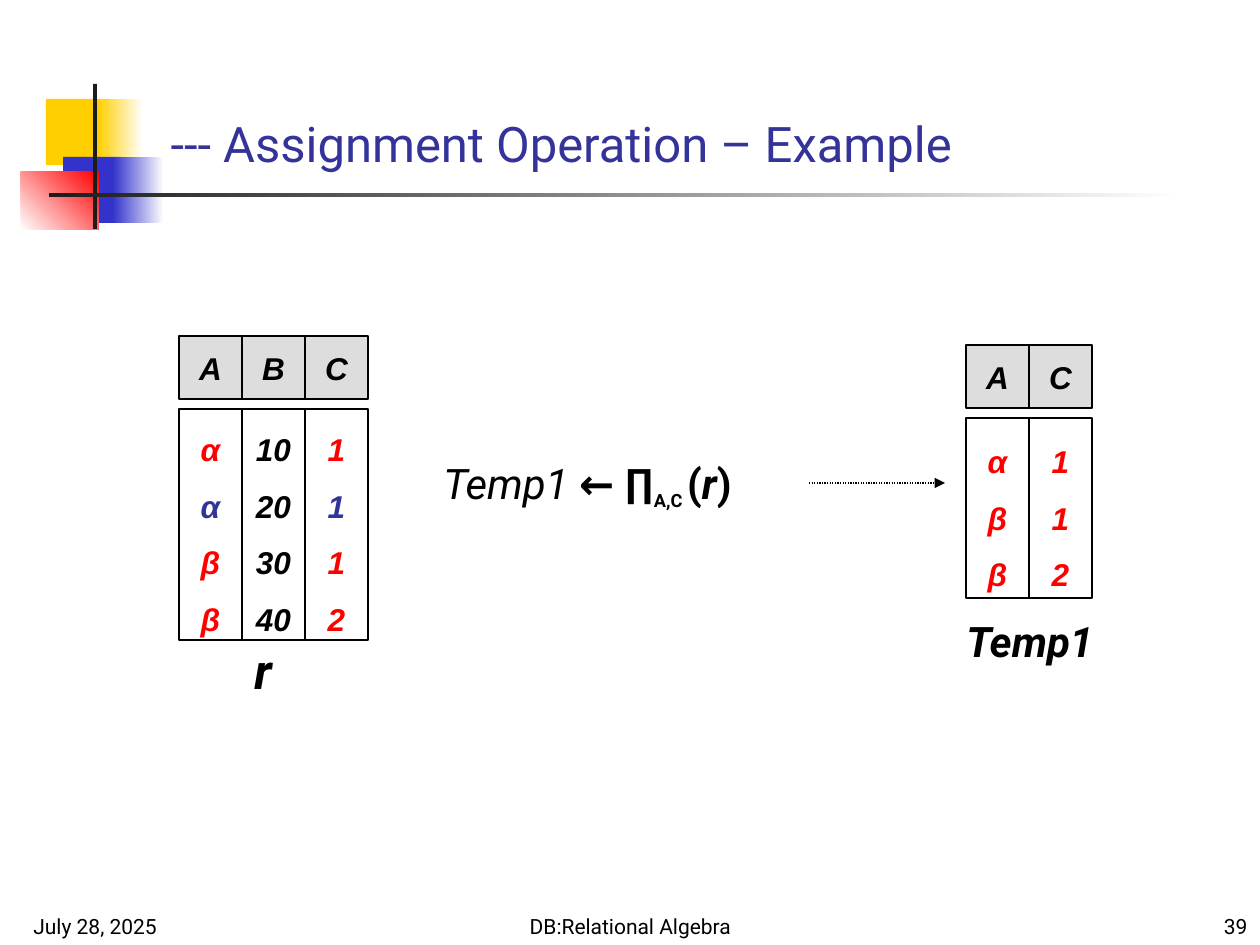
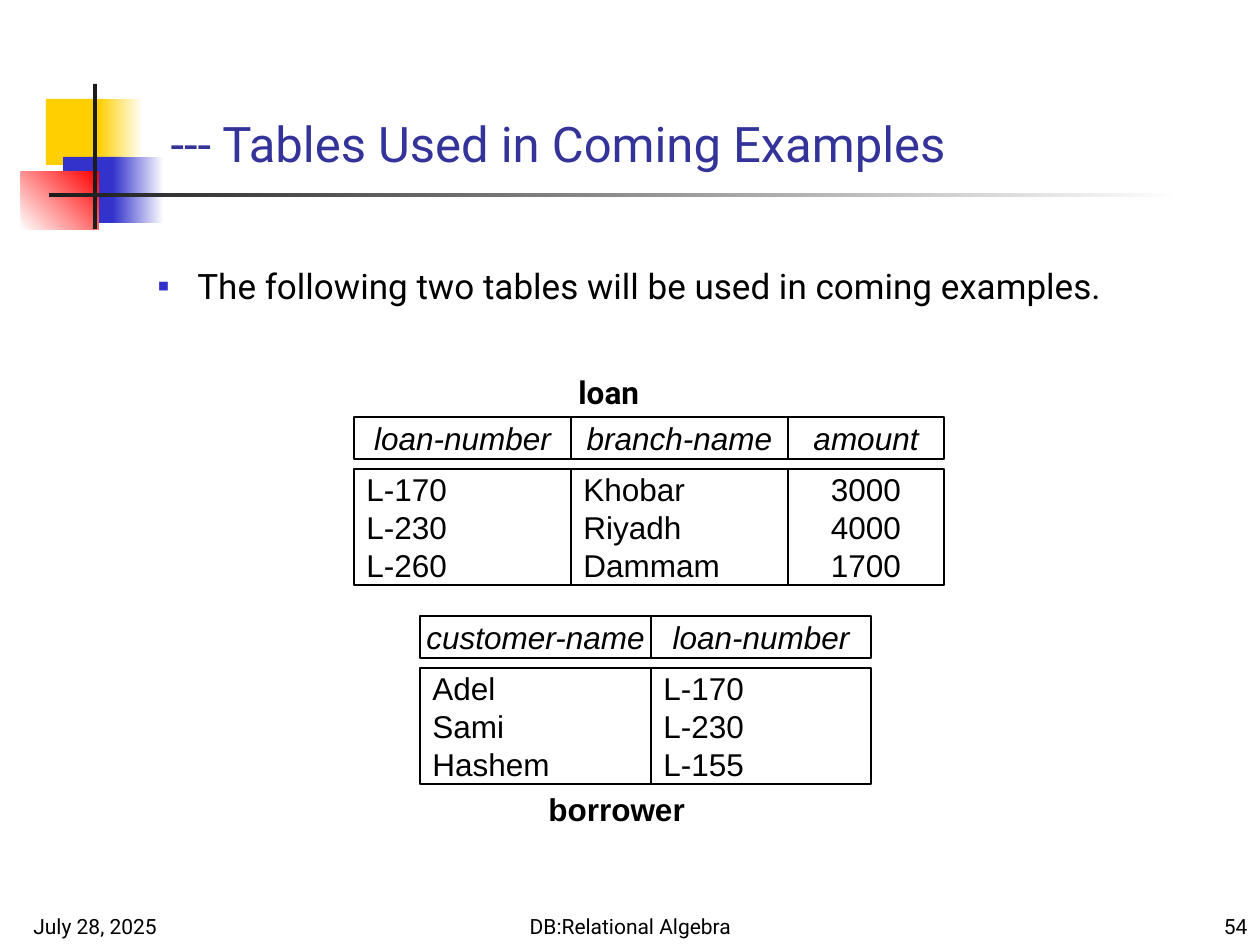
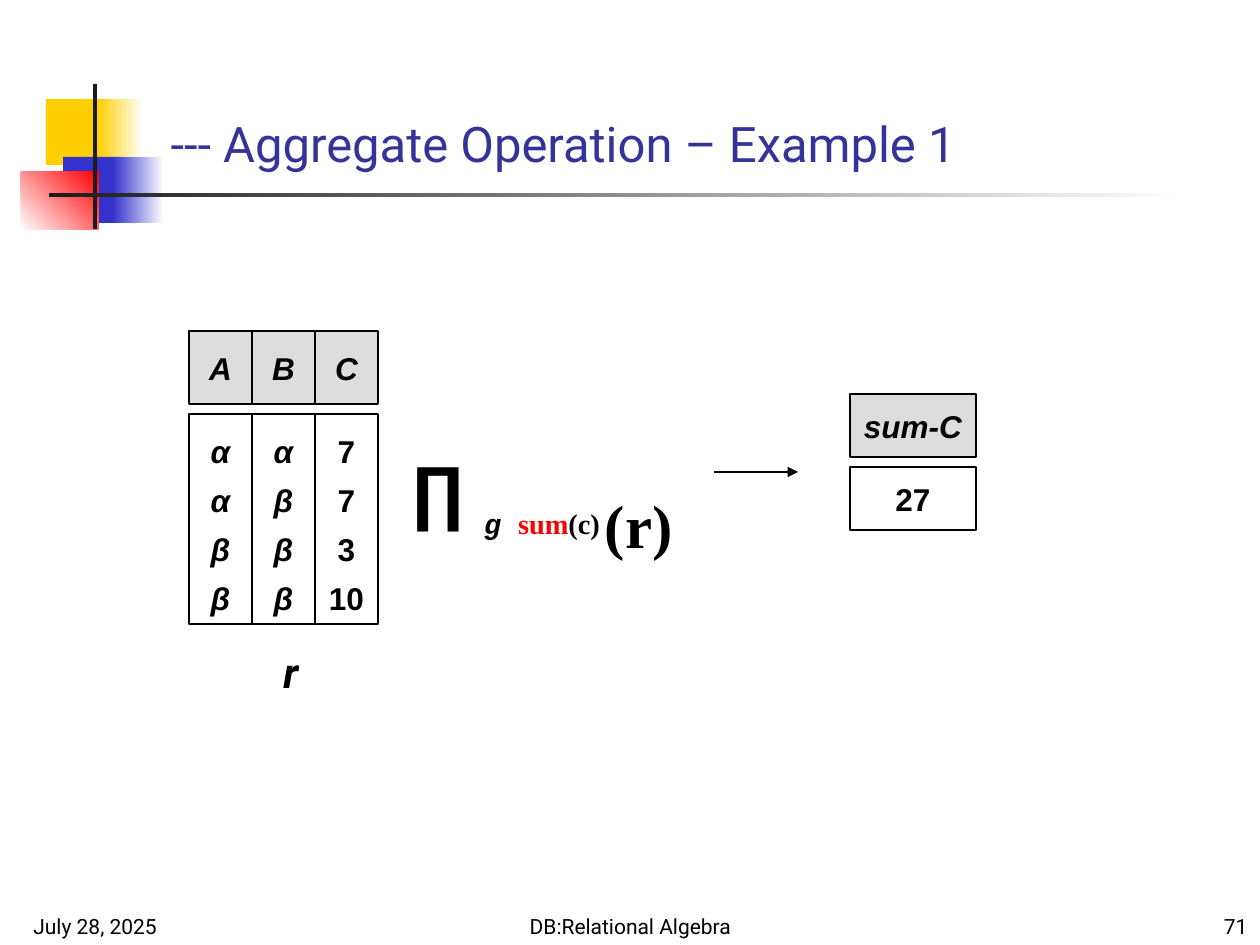
import pptx
import pptx.util
import pptx.dml.color
import pptx.enum.text
import pptx.enum.shapes
import pptx.enum.dml
import pptx.oxml.ns
import lxml.etree

HUES = {
    "ink": "000000", "paper": "FFFFFF", "head": "DDDDDD", "dark": "1C1C1C",
    "gold": "FFCF01", "blue": "3333CC", "red": "FF0000", "navy": "333399",
}
ALIGN = {
    "l": pptx.enum.text.PP_ALIGN.LEFT,
    "c": pptx.enum.text.PP_ALIGN.CENTER,
    "r": pptx.enum.text.PP_ALIGN.RIGHT,
}
ANCHOR = {
    "t": pptx.enum.text.MSO_ANCHOR.TOP,
    "m": pptx.enum.text.MSO_ANCHOR.MIDDLE,
    "b": pptx.enum.text.MSO_ANCHOR.BOTTOM,
}
GAP = 10
HANG = 48


def px(count):
    return pptx.util.Emu(round(count * 914400 / 126))


def rgb(hue):
    return pptx.dml.color.RGBColor.from_string(HUES[hue])


def sub(node, tag, **attrs):
    return lxml.etree.SubElement(node, pptx.oxml.ns.qn(tag), attrs)


class Deck:
    def __init__(self):
        self.file = pptx.Presentation()
        self.file.slide_width = px(1260)
        self.file.slide_height = px(945)
        self.slide = None

    def page(self, title, number):
        self.slide = self.file.slides.add_slide(self.file.slide_layouts[5])
        for x, y, wide, high, hues, angle in (
            (46, 99, 60, 66, ["gold"], 0),
            (98, 99, 45, 66, ["gold", "paper"], 0),
            (63, 157, 58, 66, ["blue"], 0),
            (113, 157, 51, 66, ["blue", "paper"], 0),
            (21, 172, 78, 58, ["paper", "red"], 45),
            (93, 84, 4, 145, ["dark"], 0),
            (49, 193, 1134, 4, ["dark", "paper"], 0),
        ):
            self.rect(x, y, wide, high, hues, angle)
        for x, wide, text, side in (
            (21, 262, "July 28, 2025", "l"),
            (431, 399, "DB:Relational Algebra", "c"),
            (998, 262, str(number), "r"),
        ):
            self.note(x, 892, wide, 53, [(text, 12)], side=side, anchor="b")
        head = self.slide.shapes.title
        head.left, head.top, head.width, head.height = map(px, (158, 95, 1073, 84))
        self.fill(head, [[(title, 28, "", "navy")]], anchor="b")

    def rect(self, x, y, wide, high, hues, angle=0):
        kind = pptx.enum.shapes.MSO_SHAPE.RECTANGLE
        shape = self.slide.shapes.add_shape(kind, px(x), px(y), px(wide), px(high))
        shape.shadow.inherit = False
        shape.line.fill.background()
        if len(hues) == 1:
            shape.fill.solid()
            shape.fill.fore_color.rgb = rgb(hues[0])
        else:
            shape.fill.gradient()
            shape.fill.gradient_angle = angle
            for stop, hue, place in zip(shape.fill.gradient_stops, hues, (0, 1)):
                stop.color.rgb = rgb(hue)
                stop.position = place
        return shape

    def run(self, para, text, size, style="", hue="ink", face="Roboto", base=0):
        run = para.add_run()
        run.text = text
        font = run.font
        font.size = pptx.util.Pt(size)
        font.name = face
        font.bold = "b" in style
        font.italic = "i" in style
        font.color.rgb = rgb(hue)
        if base:
            run._r.get_or_add_rPr().set("baseline", str(base * 1000))

    def fill(self, shape, lines, side="l", anchor="t", wrap=True, space=None):
        frame = shape.text_frame
        frame.word_wrap = wrap
        frame.vertical_anchor = ANCHOR[anchor]
        for spot, line in enumerate(lines):
            para = frame.add_paragraph() if spot else frame.paragraphs[0]
            para.alignment = ALIGN[side]
            if space:
                para.line_spacing = space
            for part in line:
                self.run(para, *part)
        return frame

    def note(self, x, y, wide, high, parts, side="l", anchor="t", wrap=True, hang=0):
        box = self.slide.shapes.add_textbox(px(x), px(y), px(wide), px(high))
        frame = self.fill(box, [parts], side, anchor, wrap)
        props = frame.paragraphs[0]._p.get_or_add_pPr()
        if hang:
            props.set("marL", str(px(hang)))
            props.set("indent", str(px(-hang)))
        return props

    def point(self, x, y, wide, high, parts):
        props = self.note(x, y, wide, high, parts, hang=40)
        tint = sub(props, "a:buClr")
        sub(tint, "a:srgbClr", val=HUES["blue"])
        sub(props, "a:buFont", typeface="Arial")
        sub(props, "a:buChar", char="▪")

    def cell(self, x, y, wide, high, hue, lines, side="c", space=None):
        shape = self.rect(x, y, wide, high, [hue])
        shape.line.color.rgb = rgb("ink")
        shape.line.width = pptx.util.Pt(0.75)
        self.fill(shape, lines, side, "m", False, space)

    def grid(self, x, y, tall, deep, cols, shade="head", top="bi", space=None):
        for wide, name, items, style, side, hues in cols:
            self.cell(x, y, wide, tall, shade, [[(name, 18, top, "ink", "Arial")]])
            items = items.split()
            hues = hues.split() or ["ink"] * len(items)
            lines = [[(item, 18, style, hue, "Arial")] for item, hue in zip(items, hues)]
            self.cell(x, y + tall + GAP, wide, deep, "paper", lines, side, space)
            x += wide

    def arrow(self, x, y, end, dash=None):
        kind = pptx.enum.shapes.MSO_CONNECTOR.STRAIGHT
        line = self.slide.shapes.add_connector(kind, px(x), px(y), px(end), px(y))
        line.line.color.rgb = rgb("ink")
        line.line.width = pptx.util.Pt(0.75)
        if dash:
            line.line.dash_style = dash
        sub(line.line._get_or_add_ln(), "a:tailEnd", type="triangle")
        sub(line._element.spPr, "a:effectLst")


def assign(deck):
    deck.page("--- Assignment Operation – Example", 39)
    mixed = "red navy red red"
    deck.grid(179, 336, 63, 231, [
        (63, "A", "α α β β", "bi", "c", mixed),
        (63, "B", "10 20 30 40", "bi", "c", ""),
        (63, "C", "1 1 1 2", "bi", "c", mixed),
    ], space=1.5)
    deck.note(431, 451, 388, 81, [
        ("Temp1 ", 24, "i"), ("← ∏", 24, "b"),
        ("A,C ", 18, "b", "ink", "Roboto", -25),
        ("(", 24, "b"), ("r", 24, "bi"), (")", 24, "b"),
    ], hang=HANG)
    deck.note(242, 634, 47, 72, [("r", 28, "bi")], wrap=False)
    deck.grid(966, 345, 63, 180, [
        (63, "A", "α β β", "bi", "c", "red red red"),
        (63, "C", "1 1 2", "bi", "c", "red red red"),
    ], space=1.5)
    deck.note(954, 609, 169, 63, [("Temp1", 24, "bi")], wrap=False)
    deck.arrow(809, 483, 945, pptx.enum.dml.MSO_LINE.ROUND_DOT)


def tables(deck):
    deck.page("--- Tables Used in Coming Examples", 54)
    deck.note(566, 367, 112, 62, [("loan", 18, "b")], hang=HANG)
    deck.note(536, 784, 208, 67, [("borrower", 18, "b", "ink", "Arial")], hang=HANG)
    deck.grid(420, 616, 42, 116, [
        (231, "customer-name", "Adel Sami Hashem", "", "l", ""),
        (220, "loan-number", "L-170 L-230 L-155", "", "l", ""),
    ], "paper", "i")
    deck.grid(354, 417, 42, 116, [
        (217, "loan-number", "L-170 L-230 L-260", "", "l", ""),
        (217, "branch-name", "Khobar Riyadh Dammam", "", "l", ""),
        (156, "amount", "3000 4000 1700", "", "c", ""),
    ], "paper", "i")
    deck.point(145, 258, 982, 63, [
        ("The following two tables will be used in coming examples.", 20),
    ])


def total(deck):
    deck.page("--- Aggregate Operation – Example 1", 71)
    deck.grid(189, 331, 73, 210, [
        (63, "A", "α α β β", "bi", "c", ""),
        (63, "B", "α β β β", "bi", "c", ""),
        (63, "C", "7 7 3 10", "b", "c", ""),
    ], space=1.3)
    serif = "Times New Roman"
    deck.note(399, 411, 336, 131, [
        ("∏ ", 44, "b"),
        ("g ", 28, "bi", "ink", "Courier New", -25),
        ("sum", 28, "b", "red", serif, -25),
        ("(c)", 28, "b", "ink", serif, -25),
        (" ", 20, "b", "ink", serif, -25),
        ("(r)", 60, "b", "ink", serif, -25),
    ], hang=HANG)
    deck.grid(850, 394, 63, 63, [(126, "sum-C", "27", "b", "c", "")])
    deck.note(271, 640, 44, 63, [("r", 24, "bi")], wrap=False)
    deck.arrow(714, 472, 798)


def main():
    deck = Deck()
    for build in (assign, tables, total):
        build(deck)
    deck.file.save("out.pptx")


if __name__ == "__main__":
    main()
